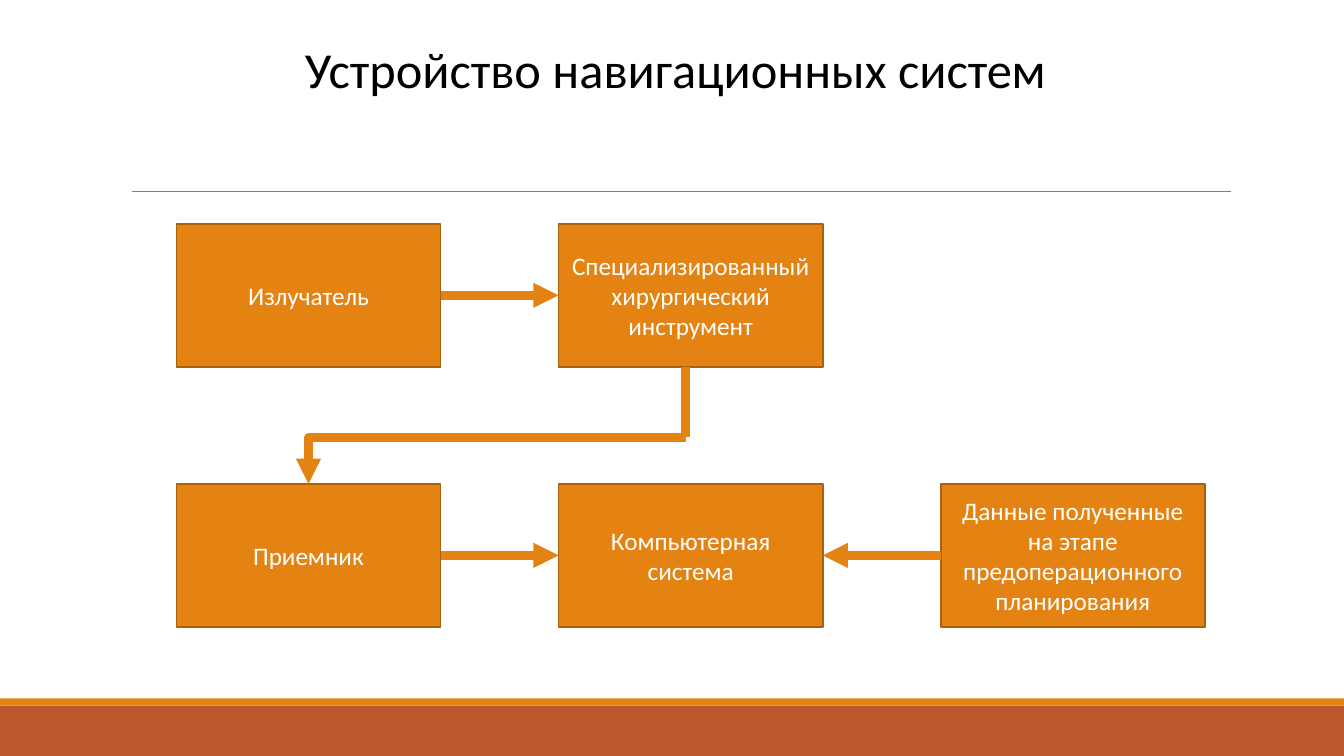
import dataclasses

import lxml.etree
import pptx
import pptx.dml.color
import pptx.enum.shapes
import pptx.enum.text
import pptx.oxml.ns
import pptx.util

Inches = pptx.util.Inches
Connector = pptx.enum.shapes.MSO_CONNECTOR
TOP, LEFT, BOTTOM, RIGHT = 0, 1, 2, 3


@dataclasses.dataclass(frozen=True)
class Theme:
    font: str = "Calibri"
    title_size: float = 36
    box_size: float = 18
    arrow_width: float = 6
    outline_width: float = 1.25
    rule_width: float = 0.5
    accent: str = "E48312"
    outline: str = "A9610D"
    footer: str = "BD582C"
    rule: str = "808080"
    title: str = "000000"
    box_text: str = "FFFFFF"


@dataclasses.dataclass(frozen=True)
class Grid:
    left: float = 1.75
    top: float = 2.22
    column_step: float = 3.79
    row_step: float = 2.58
    box_width: float = 2.62
    box_height: float = 1.42


@dataclasses.dataclass(frozen=True)
class Block:
    name: str
    text: str
    column: int
    row: int


@dataclasses.dataclass(frozen=True)
class Arrow:
    source: str
    source_side: int
    target: str
    target_side: int


THEME = Theme()
GRID = Grid()
SLIDE_WIDTH, SLIDE_HEIGHT = 13.33, 7.5
FOOTER_TOP, STRIPE_HEIGHT = 7.0, 0.07
TURN_X, TURN_Y = 6.8, 4.34

BLOCKS = [
    Block("emitter", "Излучатель", 0, 0),
    Block("receiver", "Приемник", 0, 1),
    Block("computer", "Компьютерная система", 1, 1),
    Block("instrument", "Специализированный хирургический инструмент", 1, 0),
    Block("planning", "Данные полученные на этапе предоперационного планирования", 2, 1),
]
ARROWS = [
    Arrow("receiver", RIGHT, "computer", LEFT),
    Arrow("planning", LEFT, "computer", RIGHT),
    Arrow("emitter", RIGHT, "instrument", LEFT),
]


def color(value: str) -> pptx.dml.color.RGBColor:
    return pptx.dml.color.RGBColor.from_string(value)


def set_text(shape, text: str, size: float, text_color: str) -> None:
    shape.text_frame.text = text
    paragraph = shape.text_frame.paragraphs[0]
    paragraph.alignment = pptx.enum.text.PP_ALIGN.CENTER
    font = paragraph.runs[0].font
    font.name = THEME.font
    font.size = pptx.util.Pt(size)
    font.color.rgb = color(text_color)


def add_rectangle(slide, left: float, top: float, width: float, height: float, fill: str):
    shape = slide.shapes.add_shape(
        pptx.enum.shapes.MSO_SHAPE.RECTANGLE,
        Inches(left), Inches(top), Inches(width), Inches(height))
    shape.shadow.inherit = False
    shape.fill.solid()
    shape.fill.fore_color.rgb = color(fill)
    shape.line.fill.background()
    return shape


def add_block(slide, block: Block):
    shape = add_rectangle(
        slide,
        GRID.left + block.column * GRID.column_step,
        GRID.top + block.row * GRID.row_step,
        GRID.box_width, GRID.box_height, THEME.accent)
    shape.line.color.rgb = color(THEME.outline)
    shape.line.width = pptx.util.Pt(THEME.outline_width)
    shape.text_frame.word_wrap = True
    shape.text_frame.vertical_anchor = pptx.enum.text.MSO_ANCHOR.MIDDLE
    set_text(shape, block.text, THEME.box_size, THEME.box_text)
    return shape


def add_line(slide, kind, start: tuple[float, float], end: tuple[float, float],
             line_color: str, width: float, arrow: bool = False):
    connector = slide.shapes.add_connector(
        kind, *(Inches(value) for value in (*start, *end)))
    connector.line.color.rgb = color(line_color)
    connector.line.width = pptx.util.Pt(width)
    if arrow:
        lxml.etree.SubElement(connector.line._get_or_add_ln(),
                              pptx.oxml.ns.qn("a:tailEnd"), type="triangle")
    lxml.etree.SubElement(connector._element.spPr, pptx.oxml.ns.qn("a:effectLst"))
    return connector


def add_title(slide, text: str) -> None:
    title = slide.shapes.title
    title.left, title.top = Inches(2.88), Inches(0.33)
    title.width, title.height = Inches(7.64), Inches(0.71)
    title.text_frame.word_wrap = False
    title.text_frame.auto_size = pptx.enum.text.MSO_AUTO_SIZE.SHAPE_TO_FIT_TEXT
    title.text_frame.vertical_anchor = pptx.enum.text.MSO_ANCHOR.TOP
    set_text(title, text, THEME.title_size, THEME.title)


def add_return_path(slide, receiver) -> None:
    """Lead from the instrument down, left and into the receiver."""
    center_x = GRID.left + GRID.box_width / 2
    elbow = add_line(slide, Connector.ELBOW, (TURN_X, TURN_Y),
                     (center_x, GRID.top + GRID.row_step),
                     THEME.accent, THEME.arrow_width, arrow=True)
    elbow.end_connect(receiver, TOP)
    properties = elbow._element.spPr
    properties.find(pptx.oxml.ns.qn("a:prstGeom")).set("prst", "bentConnector2")
    # A half turn with a vertical flip runs left first, then down.
    transform = properties.find(pptx.oxml.ns.qn("a:xfrm"))
    transform.attrib.pop("flipH", None)
    transform.set("rot", "10800000")
    transform.set("flipV", "1")
    add_line(slide, Connector.STRAIGHT, (TURN_X, GRID.top + GRID.box_height),
             (TURN_X, TURN_Y), THEME.accent, THEME.arrow_width)


def main() -> None:
    presentation = pptx.Presentation()
    presentation.slide_width = Inches(SLIDE_WIDTH)
    presentation.slide_height = Inches(SLIDE_HEIGHT)
    slide = presentation.slides.add_slide(presentation.slide_layouts.get_by_name("Title Only"))

    add_rectangle(slide, 0, FOOTER_TOP, SLIDE_WIDTH, SLIDE_HEIGHT - FOOTER_TOP, THEME.footer)
    add_rectangle(slide, 0, FOOTER_TOP - STRIPE_HEIGHT, SLIDE_WIDTH, STRIPE_HEIGHT, THEME.accent)
    add_line(slide, Connector.STRAIGHT, (1.31, 1.9), (12.21, 1.9), THEME.rule, THEME.rule_width)
    add_title(slide, "Устройство навигационных систем")

    boxes = {block.name: add_block(slide, block) for block in BLOCKS}
    for arrow in ARROWS:
        connector = add_line(slide, Connector.STRAIGHT, (0, 0), (0, 0),
                             THEME.accent, THEME.arrow_width, arrow=True)
        connector.begin_connect(boxes[arrow.source], arrow.source_side)
        connector.end_connect(boxes[arrow.target], arrow.target_side)
    add_return_path(slide, boxes["receiver"])

    presentation.save("out.pptx")


if __name__ == "__main__":
    main()
